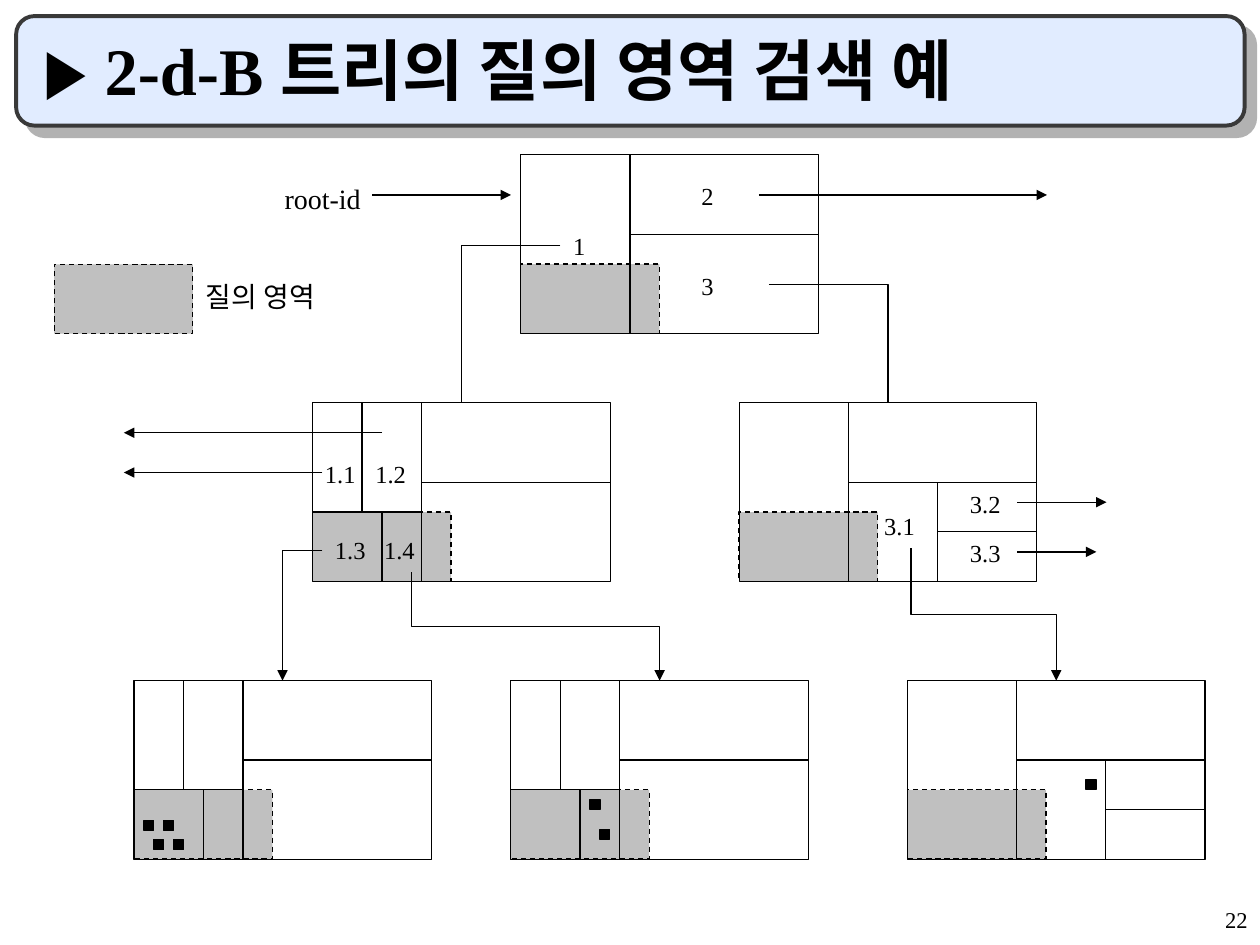
from lxml.etree import SubElement
from pptx import Presentation
from pptx.dml.color import RGBColor
from pptx.enum.dml import MSO_LINE
from pptx.enum.shapes import MSO_CONNECTOR, MSO_SHAPE
from pptx.enum.text import MSO_ANCHOR, MSO_AUTO_SIZE, PP_ALIGN
from pptx.oxml import parse_xml
from pptx.oxml.ns import nsdecls, qn
from pptx.util import Pt

BLACK = RGBColor(0x00, 0x00, 0x00)
GRAY = RGBColor(0xC0, 0xC0, 0xC0)
PALE_BLUE = RGBColor(0xE1, 0xEC, 0xFF)
DARK = RGBColor(0x39, 0x39, 0x39)
FONT = "Times New Roman"

NODE_W, NODE_H = 170.1, 102.1
QUERY_W, QUERY_H = 79.2, 39.6
DOT = 5.7

# Split lines relative to a node's corner: x1, y1, x2, y2
BASE_SPLITS = [(62.4, 0, 62.4, NODE_H), (62.4, 45.4, NODE_W, 45.4)]
LEFT_SPLITS = BASE_SPLITS + [
    (0, 62.4, 62.4, 62.4),
    (28.3, 0, 28.3, 62.4),
    (39.7, 62.4, 39.7, NODE_H),
]
RIGHT_SPLITS = BASE_SPLITS + [
    (113.4, 45.4, 113.4, NODE_H),
    (113.4, 73.7, NODE_W, 73.7),
]

# Corner, splits, data points relative to the corner
NODES = [
    (297.6, 88.5, BASE_SPLITS, []),
    (178.6, 230.2, LEFT_SPLITS, []),
    (422.4, 230.2, RIGHT_SPLITS, []),
    (76.5, 388.9, LEFT_SPLITS,
     [(5.7, 79.9), (17, 79.9), (11.4, 91), (22.7, 91)]),
    (291.8, 388.9, LEFT_SPLITS, [(45.4, 68.1), (51, 85)]),
    (518.5, 388.9, RIGHT_SPLITS, [(102.1, 56.7)]),
]

REGION_LABELS = [
    ("1", 320.4, 128.2), ("2", 393.8, 100.1), ("3", 393.8, 151.2),
    ("1.1", 178.6, 258.5), ("1.2", 207.4, 258.5),
    ("1.3", 184.3, 302.4), ("1.4", 212.4, 302.4),
    ("3.1", 498.2, 288.7), ("3.2", 547.2, 275.8), ("3.3", 547.2, 303.8),
]

ARROWS = [
    (212.6, 111.4, 292, 111.4),
    (433.6, 111.4, 598.3, 111.4),
    (218.3, 247.3, 70.8, 247.3),
    (184.3, 270, 70.8, 270),
    (581.2, 287, 632.3, 287),
    (581.2, 315.4, 626.5, 315.4),
]

# Start, end, arrowhead
CORNERS = [
    (320.2, 140.2, 263.6, 230.2, False),
    (439.4, 162.8, 507.5, 230.2, False),
    (184.3, 314.6, 161.5, 388.9, True),
]
STEPS = [(235.3, 326.9, 376.9, 388.9), (520.6, 313.2, 603.6, 388.9)]


def add_box(s, x, y, w, h, fill=None, dash=False, shape=MSO_SHAPE.RECTANGLE):
    sp = s.shapes.add_shape(shape, Pt(x), Pt(y), Pt(w), Pt(h))
    sp.shadow.inherit = False
    if fill is None:
        sp.fill.background()
    else:
        sp.fill.solid()
        sp.fill.fore_color.rgb = fill
    sp.line.color.rgb = BLACK
    sp.line.width = Pt(0.75)
    if dash:
        sp.line.dash_style = MSO_LINE.DASH
    return sp


def add_line(s, x1, y1, x2, y2, arrow=False, kind=MSO_CONNECTOR.STRAIGHT):
    c = s.shapes.add_connector(kind, Pt(x1), Pt(y1), Pt(x2), Pt(y2))
    c.line.color.rgb = BLACK
    c.line.width = Pt(0.75)
    spPr = c.element.spPr
    if arrow:
        SubElement(spPr.find(qn("a:ln")), qn("a:tailEnd"), type="triangle")
    SubElement(spPr, qn("a:effectLst"))
    return c


def add_corner(s, x1, y1, x2, y2, arrow):
    """One bend: across, then down."""
    c = add_line(s, x1, y1, x2, y2, arrow, MSO_CONNECTOR.ELBOW)
    c.element.spPr.find(qn("a:prstGeom")).set("prst", "bentConnector2")


def add_step(s, x1, y1, x2, y2):
    """Two bends: down, across, down; an elbow turned by 270 degrees."""
    cx, cy = (x1 + x2) / 2, (y1 + y2) / 2
    dx, dy = (x2 - x1) / 2, (y2 - y1) / 2
    c = add_line(s, cx + dy, cy - dx, cx - dy, cy + dx, True,
                 MSO_CONNECTOR.ELBOW)
    c.element.spPr.find(qn("a:xfrm")).set("rot", str(270 * 60000))


def add_text(s, text, x, y, w, h, size, bold=False):
    tb = s.shapes.add_textbox(Pt(x), Pt(y), Pt(w), Pt(h))
    tf = tb.text_frame
    tf.word_wrap = True
    tf.auto_size = MSO_AUTO_SIZE.NONE
    r = tf.paragraphs[0].add_run()
    r.text = text
    r.font.name = FONT
    r.font.size = Pt(size)
    r.font.bold = bold
    r.font.color.rgb = BLACK
    return tf


def add_title(s):
    bar = add_box(s, 9.2, 9.2, 702, 62.6, PALE_BLUE,
                  shape=MSO_SHAPE.ROUNDED_RECTANGLE)
    bar.line.color.rgb = DARK
    bar.line.width = Pt(2.25)
    effects = bar.element.spPr.find(qn("a:effectLst"))
    effects.append(parse_xml(
        f'<a:outerShdw {nsdecls("a")} dist="{Pt(8.5)}" dir="2700000" '
        'algn="ctr" rotWithShape="0"><a:srgbClr val="B2B2B2"/></a:outerShdw>'))
    tf = add_text(s, "▶ 2-d-B 트리의 질의 영역 검색 예",
                  18, 18, 678, 48, 38, bold=True)
    tf.vertical_anchor = MSO_ANCHOR.BOTTOM


def add_node(s, x, y, splits, dots):
    add_box(s, x, y + 62.4, QUERY_W, QUERY_H, GRAY, dash=True)
    add_box(s, x, y, NODE_W, NODE_H)
    for x1, y1, x2, y2 in splits:
        add_line(s, x + x1, y + y1, x + x2, y + y2)
    for dx, dy in dots:
        add_box(s, x + dx, y + dy, DOT, DOT, BLACK)


def add_page_number(s):
    tf = add_text(s, "22", 570, 516, 150, 24, 12.9)
    p = tf.paragraphs[0]
    p.alignment = PP_ALIGN.RIGHT
    p.line_spacing = 0.9


def main():
    prs = Presentation()
    prs.slide_width, prs.slide_height = Pt(720), Pt(540)
    s = prs.slides.add_slide(prs.slide_layouts[6])
    add_title(s)
    add_page_number(s)
    for node in NODES:
        add_node(s, *node)
    for text, x, y in REGION_LABELS:
        add_text(s, text, x, y, 45.4, 24.4, 14)
    add_box(s, 31, 151, QUERY_W, QUERY_H, GRAY, dash=True)
    add_text(s, "질의 영역", 110.6, 156.2, 102, 26.6, 16)
    add_text(s, "root-id", 155.6, 100.1, 62.6, 26.6, 16)
    for corner in CORNERS:
        add_corner(s, *corner)
    for step in STEPS:
        add_step(s, *step)
    for arrow in ARROWS:
        add_line(s, *arrow, arrow=True)
    prs.save("out.pptx")


if __name__ == "__main__":
    main()
